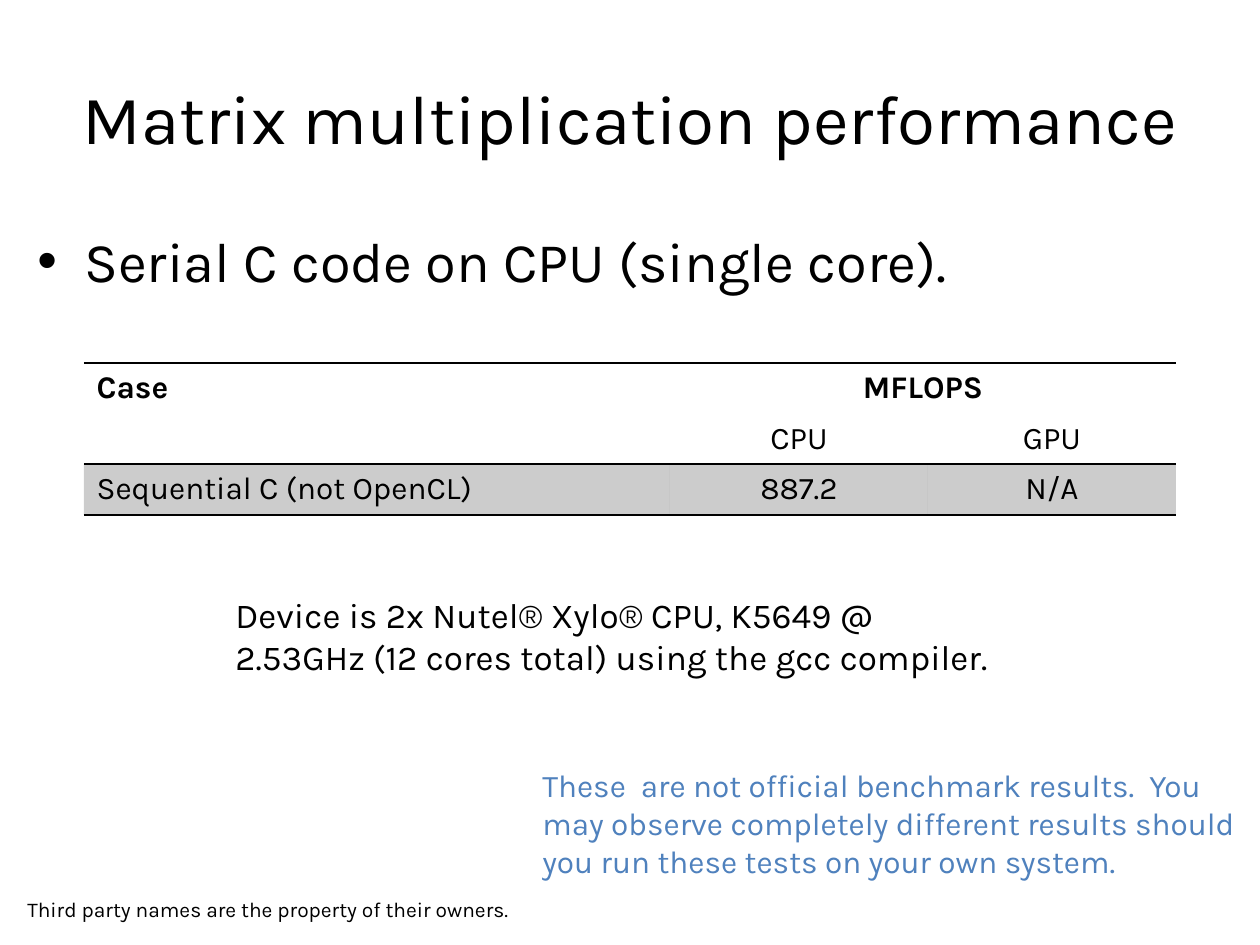
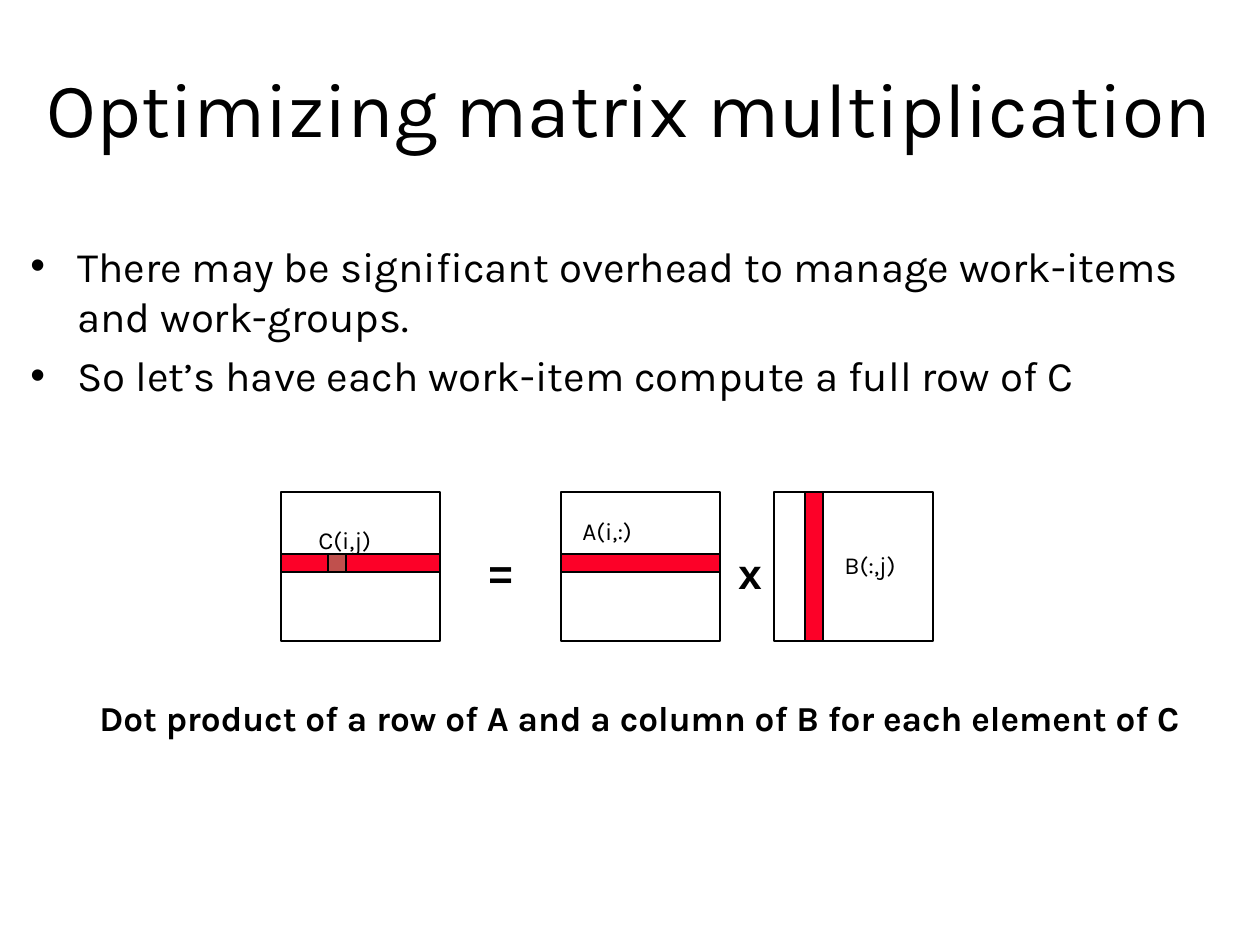
"""Build two slides on the performance and tuning of matrix multiplication."""
from lxml.etree import SubElement
from pptx import Presentation
from pptx.dml.color import RGBColor
from pptx.enum.shapes import MSO_SHAPE as Shape
from pptx.enum.text import MSO_ANCHOR as Anchor, PP_ALIGN as Align
from pptx.oxml import parse_xml
from pptx.oxml.ns import nsdecls, qn
from pptx.util import Pt

PX_PER_INCH = 126
EMU_PER_PX = 914400 / PX_PER_INCH
PLAIN_TABLE = "{2D5ABB26-0587-4C30-8999-92F81FD0307C}"


def px(length):
    return round(length * EMU_PER_PX)


def color(hex_string):
    return RGBColor.from_string(hex_string)


class Slides:
    ink, accent, band, cell = "000000", "4F81BD", "FC0128", "C0504D"
    font = "Karla"

    def __init__(self):
        self.deck = Presentation()
        self.deck.slide_width = px(10 * PX_PER_INCH)
        self.deck.slide_height = px(945)
        self.page = None

    def new_page(self):
        self.page = self.deck.slides.add_slide(self.deck.slide_layouts[6])

    def style(self, para, size, hue=None, bold=False, font=None, align=Align.LEFT):
        para.alignment = align
        for span in para.runs:
            span.font.name = font or self.font
            span.font.size = Pt(size)
            span.font.bold = bold
            span.font.color.rgb = color(hue or self.ink)

    def text(self, content, place, size, anchor=Anchor.TOP, **look):
        box = self.page.shapes.add_textbox(*map(px, place))
        frame = box.text_frame
        frame.word_wrap = True
        frame.vertical_anchor = anchor
        frame.text = content
        for para in frame.paragraphs:
            self.style(para, size, **look)
        return frame

    def title(self, content, place, size):
        self.text(content, place, size, Anchor.MIDDLE, align=Align.CENTER)

    def bullets(self, items, place, size):
        frame = self.text("\n".join(items), place, size)
        for index, para in enumerate(frame.paragraphs):
            if index:
                para.space_before = Pt(round(size * 0.2))
            properties = para._p.get_or_add_pPr()
            properties.set("marL", str(px(47)))
            properties.set("indent", str(-px(47)))
            SubElement(properties, qn("a:buFont"), typeface="Arial")
            SubElement(properties, qn("a:buChar"), char="•")

    def rectangle(self, place, fill=None):
        box = self.page.shapes.add_shape(Shape.RECTANGLE, *map(px, place))
        box.shadow.inherit = False
        if fill:
            box.fill.solid()
            box.fill.fore_color.rgb = color(fill)
        else:
            box.fill.background()
        box.line.color.rgb = color(self.ink)
        box.line.width = Pt(1)

    def rule(self, cell, side):
        cell._tc.get_or_add_tcPr().insert(0, parse_xml(
            f'<a:ln{side} {nsdecls("a")} w="{Pt(1)}"><a:solidFill>'
            f'<a:srgbClr val="{self.ink}"/></a:solidFill></a:ln{side}>'))

    def shade(self, cell, percent):
        cell.fill.solid()
        cell.fill.fore_color.rgb = color(self.ink)
        tone = cell._tc.tcPr.find(".//" + qn("a:srgbClr"))
        SubElement(tone, qn("a:alpha"), val=str(percent * 1000))

    def table(self, rows, origin, widths, heights, merges, rules, shaded):
        size = sum(widths), sum(heights)
        frame = self.page.shapes.add_table(
            len(rows), len(widths), *map(px, origin + size))
        table = frame.table
        table.first_row = table.horz_banding = False
        table._tbl.tblPr.find(qn("a:tableStyleId")).text = PLAIN_TABLE
        for column, width in zip(table.columns, widths):
            column.width = px(width)
        for row, height in zip(table.rows, heights):
            row.height = px(height)
        for start, end in merges:
            table.cell(*start).merge(table.cell(*end))
        for r, values in enumerate(rows):
            for c, value in enumerate(values):
                cell = table.cell(r, c)
                cell.text = value
                cell.vertical_anchor = Anchor.MIDDLE if c else Anchor.TOP
                self.style(cell.text_frame.paragraphs[0], 18, bold=r == 0,
                           align=Align.CENTER if c else Align.LEFT)
                if r in shaded:
                    self.shade(cell, 20)
                else:
                    cell.fill.background()
                for side in rules.get(r, ""):
                    self.rule(cell, side)

    def matrix(self, frame, label, label_place, band):
        self.rectangle(frame)
        self.text(label, label_place + (93, 43), 14)
        self.rectangle(band, self.band)


def performance(slides):
    slides.new_page()
    slides.title("Matrix multiplication performance", (63, 38, 1134, 158), 39.6)
    slides.bullets(["Serial C code on CPU (single core)."], (25, 220, 1211, 113), 32)
    slides.table(
        [["Case", "MFLOPS", ""],
         ["", "CPU", "GPU"],
         ["Sequential C (not OpenCL)", "887.2", "N/A"]],
        origin=(84, 363), widths=(586, 258, 248), heights=(50, 50, 51),
        merges=[((0, 0), (1, 0)), ((0, 1), (0, 2))],
        rules={0: "T", 2: "BT"}, shaded=[2])
    slides.text("Device is 2x Nutel® Xylo® CPU, K5649 @ 2.53GHz (12 cores total) "
                "using the gcc compiler.", (223, 587, 784, 97), 20)
    slides.text("Third party names are the property of their owners.",
                (15, 890, 670, 50), 12)
    slides.text("These  are not official benchmark results.  You may observe "
                "completely different results should you run these tests on your "
                "own system.", (530, 760, 720, 165), 18, hue=slides.accent)


def optimizing(slides):
    slides.new_page()
    slides.title("Optimizing matrix multiplication", (15, 28, 1230, 158), 44)
    slides.bullets(
        ["There may be significant overhead to manage work-items and work-groups.",
         "So let’s have each work-item compute a full row of C"],
        (18, 234, 1211, 230), 24)
    top, width, height, thick = 492, 159, 149, 18
    c_left, a_left, b_left = 281, 561, 774
    band_top = 554
    for label, left, label_place, band in (
            ("A(i,:)", a_left, (570, 510), (a_left, band_top, width, thick)),
            ("B(:,j)", b_left, (832, 544), (b_left + 31, top, thick, height)),
            ("C(i,j)", c_left, (306, 519), (c_left, band_top, width, thick))):
        slides.matrix((left, top, width, height), label, label_place, band)
    slides.rectangle((c_left + 47, band_top, thick, thick), slides.cell)
    for sign, left in (("=", 476), ("x", 726)):
        slides.text(sign, (left, 541, 50, 63), 24, bold=True, font="Arial")
    slides.text("Dot product of a row of A and a column of B for each element of C",
                (78, 690, 1124, 54), 20, bold=True, align=Align.CENTER)


def main():
    slides = Slides()
    performance(slides)
    optimizing(slides)
    slides.deck.save("out.pptx")


if __name__ == "__main__":
    main()
